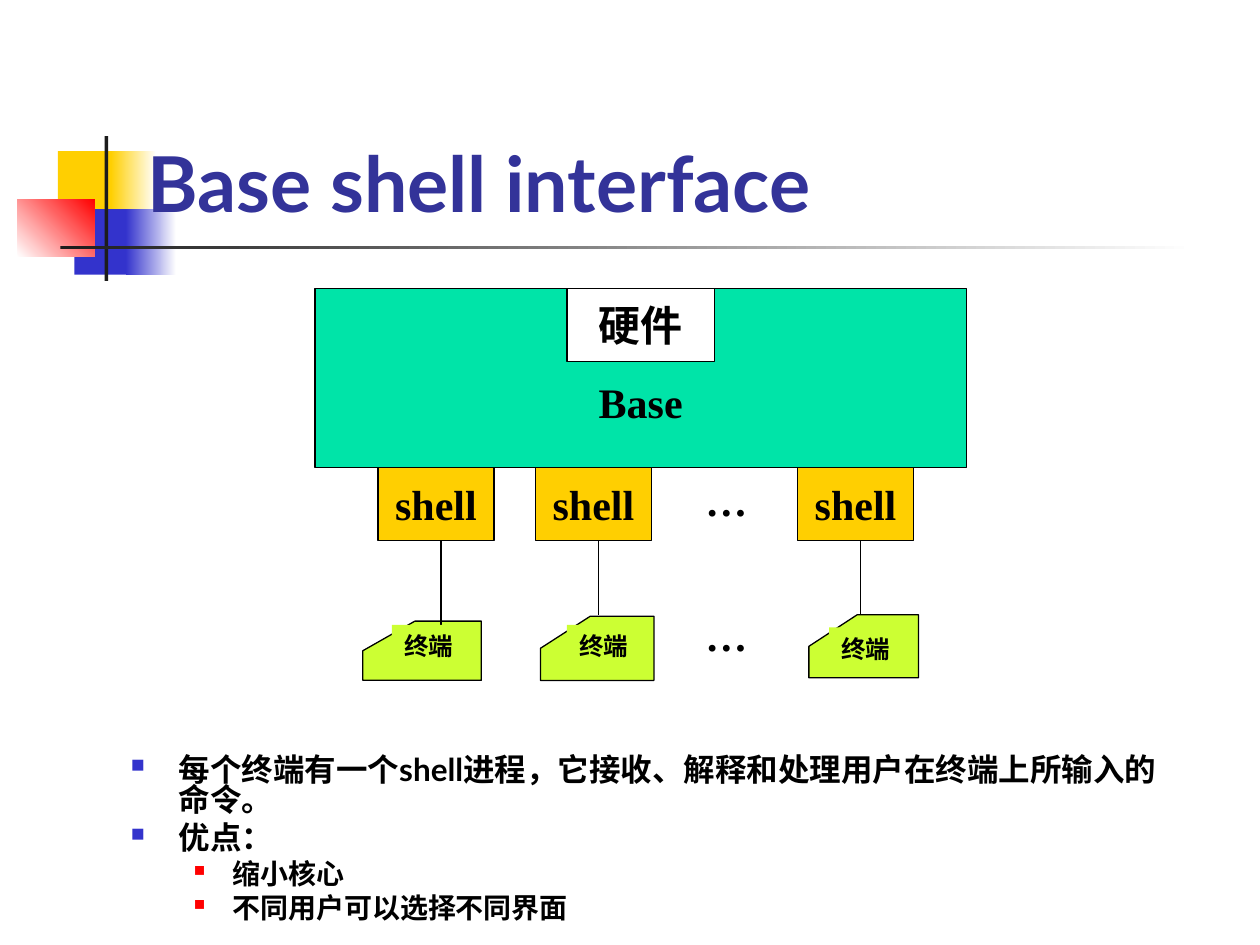
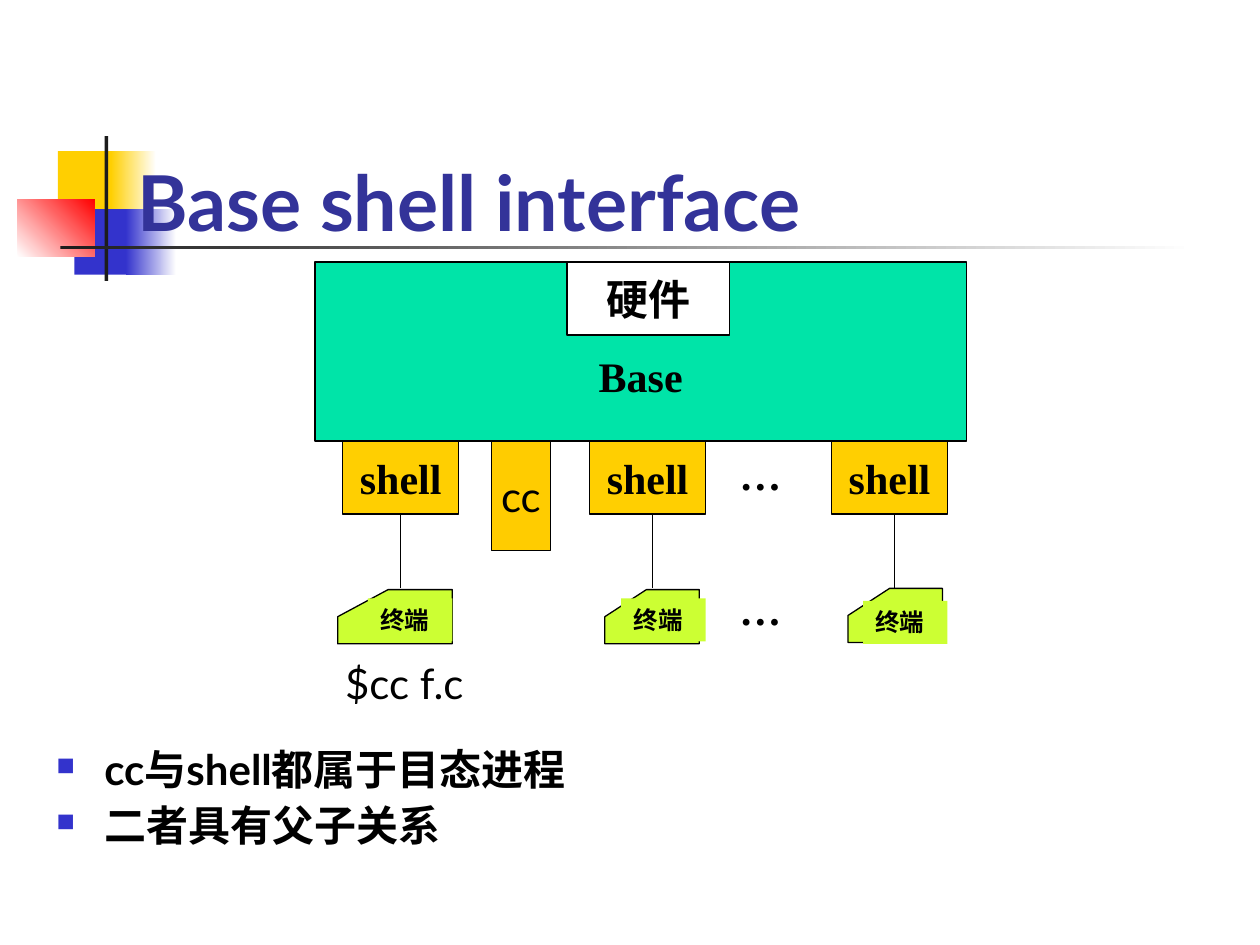
import pptx
import pptx.util
import pptx.dml.color
import pptx.enum.text
import pptx.enum.shapes
import pptx.oxml.ns
import lxml.etree

Inches = pptx.util.Inches
Pt = pptx.util.Pt
ALIGN = pptx.enum.text.PP_ALIGN
ANCHOR = pptx.enum.text.MSO_ANCHOR
RECT = pptx.enum.shapes.MSO_SHAPE.RECTANGLE
STRAIGHT = pptx.enum.shapes.MSO_CONNECTOR.STRAIGHT
qn = pptx.oxml.ns.qn

COLORS = {
    "black": "000000", "white": "FFFFFF", "ink": "1C1C1C", "title": "333399",
    "blue": "3333CC", "red": "FF0000", "gold": "FFCF01", "amber": "FFCC00",
    "green": "00E4A8", "lime": "CCFF33",
}
SERIF = "Times New Roman"
SANS = "Lato"


def color(name):
    return pptx.dml.color.RGBColor.from_string(COLORS[name])


def write(text, frame=None, para=None, size=24, font=SERIF, tint="black",
          bold=True, align=ALIGN.LEFT):
    para = para or frame.paragraphs[0]
    para.alignment = align
    run = para.add_run()
    run.text = text
    run.font.size = Pt(size)
    run.font.name = font
    run.font.bold = bold
    run.font.color.rgb = color(tint)


def bullet(para, tint, size, left, hang):
    props = para._p.get_or_add_pPr()
    props.set("marL", str(Inches(left)))
    props.set("indent", str(Inches(-hang)))
    paint = lxml.etree.SubElement(props, qn("a:buClr"))
    lxml.etree.SubElement(paint, qn("a:srgbClr"), val=COLORS[tint])
    lxml.etree.SubElement(props, qn("a:buSzPct"), val=str(size * 1000))
    lxml.etree.SubElement(props, qn("a:buChar"), char="■")


class Deck:
    def __init__(self):
        self.prs = pptx.Presentation()
        self.prs.slide_width = Inches(10)
        self.prs.slide_height = Inches(7.5)
        self.layout = self.prs.slide_layouts[5]
        self.slide = None

    def start(self, title, left, top):
        self.slide = self.prs.slides.add_slide(self.layout)
        box = self.slide.shapes.title
        box.left, box.top = Inches(left), Inches(top)
        box.width, box.height = Inches(8.5), Inches(1.08)
        box.text_frame.vertical_anchor = ANCHOR.BOTTOM
        box.text_frame.auto_size = pptx.enum.text.MSO_AUTO_SIZE.NONE
        write(title, box.text_frame, size=44, font=SANS, tint="title")

    def finish(self, shape, fill, line):
        shape.shadow.inherit = False
        shape.fill.solid()
        shape.fill.fore_color.rgb = color(fill)
        if line:
            shape.line.color.rgb = color("black")
            shape.line.width = Pt(0.75)
        else:
            shape.line.fill.background()
        return shape

    def rect(self, left, top, width, height, fill, line=False):
        shape = self.slide.shapes.add_shape(
            RECT, Inches(left), Inches(top), Inches(width), Inches(height))
        return self.finish(shape, fill, line)

    def fade(self, left, top, width, height, first, last, angle=0):
        shape = self.rect(left, top, width, height, first)
        shape.fill.gradient()
        shape.fill.gradient_angle = angle
        for stop, name in zip(shape.fill.gradient_stops, (first, last)):
            stop.color.rgb = color(name)
        return shape

    def block(self, text, left, top, width, height, fill, inset=0.05, **style):
        shape = self.rect(left, top, width, height, fill, line=True)
        frame = shape.text_frame
        frame.word_wrap = False
        frame.vertical_anchor = ANCHOR.MIDDLE
        frame.margin_top = Inches(inset)
        write(text, frame, align=ALIGN.CENTER, **style)
        return shape

    def label(self, text, left, top, width, height, fill, **style):
        frame = self.rect(left, top, width, height, fill).text_frame
        frame.word_wrap = True
        frame.vertical_anchor = ANCHOR.TOP
        write(text, frame, **style)

    def frame(self, left, top, width, height):
        frame = self.slide.shapes.add_textbox(
            Inches(left), Inches(top), Inches(width), Inches(height)).text_frame
        frame.word_wrap = True
        return frame

    def card(self, left, top, width, height):
        right, base = left + width, top + height
        slant, notch = left + 0.44 * width, top + height / 2
        points = [(right, top), (right, base), (left, base), (left, notch)]
        path = self.slide.shapes.build_freeform(Inches(slant), Inches(top))
        path.add_line_segments([(Inches(x), Inches(y)) for x, y in points])
        self.finish(path.convert_to_shape(), "lime", True)

    def wire(self, x, top, base, shell):
        line = self.slide.shapes.add_connector(
            STRAIGHT, Inches(x), Inches(top), Inches(x), Inches(base))
        middle = shell.left + shell.width // 2
        if abs(middle - Inches(x)) < Inches(0.02):
            line.begin_connect(shell, 2)
            line.end_x = middle
        line.line.color.rgb = color("black")
        line.line.width = Pt(0.75)
        lxml.etree.SubElement(line.element.spPr, qn("a:effectLst"))

    def points(self, items, box, size, gap, spacing):
        frame = self.frame(*box)
        for index, (level, text) in enumerate(items):
            para = frame.add_paragraph() if index else frame.paragraphs[0]
            para.level = level
            para.line_spacing = spacing
            if index:
                para.space_before = Pt(gap - level / 2)
            if level:
                bullet(para, "red", 55, 0.81, 0.31)
            else:
                bullet(para, "blue", 60, 0.38, 0.38)
            write(text, para=para, size=size - 2 * level, font=SANS)

    def brand(self):
        parts = [
            self.rect(0.46, 1.2, 0.48, 0.52, "gold"),
            self.fade(0.88, 1.2, 0.36, 0.52, "gold", "white"),
            self.rect(0.59, 1.66, 0.46, 0.52, "blue"),
            self.fade(1, 1.66, 0.4, 0.52, "blue", "white"),
            self.fade(0.14, 1.58, 0.61, 0.46, "white", "red", angle=45),
            self.rect(0.83, 1.08, 0.03, 1.15, "ink"),
            self.fade(0.48, 1.95, 9, 0.03, "ink", "white"),
        ]
        for part in parts:
            self.layout.shapes.element.append(part.element)

    def system(self, top, chip, dots, users):
        self.block("Base", 2.5, top, 5.17, 1.42, "green", inset=0.43)
        self.block("硬件", 4.5, top, chip, 0.58, "white")
        shells = [self.block("shell", user["shell"], top + 1.42, 0.92, 0.58, "gold")
                  for user in users]
        for drop in (1.43, 2.5):
            self.label("…", dots, top + drop, 0.6, 0.5, "white")
        for user, shell in zip(users, shells):
            left, drop, width, height = user["card"]
            self.card(left, top + drop, width, height)
            self.wire(user["wire"], top + 2, top + user.get("end", 2.59), shell)
        for user, drop in zip(users, (2.67, 2.67, 2.69)):
            self.label("终端", user["text"], top + drop, 0.67, 0.34, "lime", size=14)


def main():
    deck = Deck()
    title = "Base shell interface"

    deck.start(title, 1.07, 0.78)
    deck.brand()
    deck.points([
        (0, "每个终端有一个shell进程，它接收、解释和处理用户在终端上所输入的命令。"),
        (0, "优点："),
        (1, "缩小核心"),
        (1, "不同用户可以选择不同界面"),
    ], (0.94, 5.96, 8.5, 1.44), size=18, gap=4.5, spacing=0.8)
    deck.system(2.29, 1.17, 5.5, [
        dict(shell=3, card=(2.88, 2.64, 0.94, 0.47), wire=3.5, end=2.72, text=3.11),
        dict(shell=4.25, card=(4.29, 2.6, 0.9, 0.51), wire=4.75, text=4.5),
        dict(shell=6.33, card=(6.42, 2.59, 0.87, 0.5), wire=6.83, text=6.58),
    ])

    deck.start(title, 0.99, 0.93)
    deck.system(2.08, 1.29, 5.77, [
        dict(shell=2.72, card=(2.68, 2.6, 0.91, 0.43), wire=3.17, text=2.92),
        dict(shell=4.68, card=(4.8, 2.6, 0.75, 0.43), wire=5.18, text=4.93),
        dict(shell=6.6, card=(6.73, 2.59, 0.75, 0.43), wire=7.1, text=6.85),
    ])
    deck.block("cc", 3.9, 3.5, 0.47, 0.87, "amber", font=SANS, bold=False)
    write("$cc f.c", deck.frame(2.64, 5.17, 1.26, 0.5), font=SANS, bold=False)
    deck.points([
        (0, "cc与shell都属于目态进程"),
        (0, "二者具有父子关系"),
    ], (0.35, 5.9, 9.44, 1.08), size=24, gap=6, spacing=0.9)

    deck.prs.save("out.pptx")


if __name__ == "__main__":
    main()
